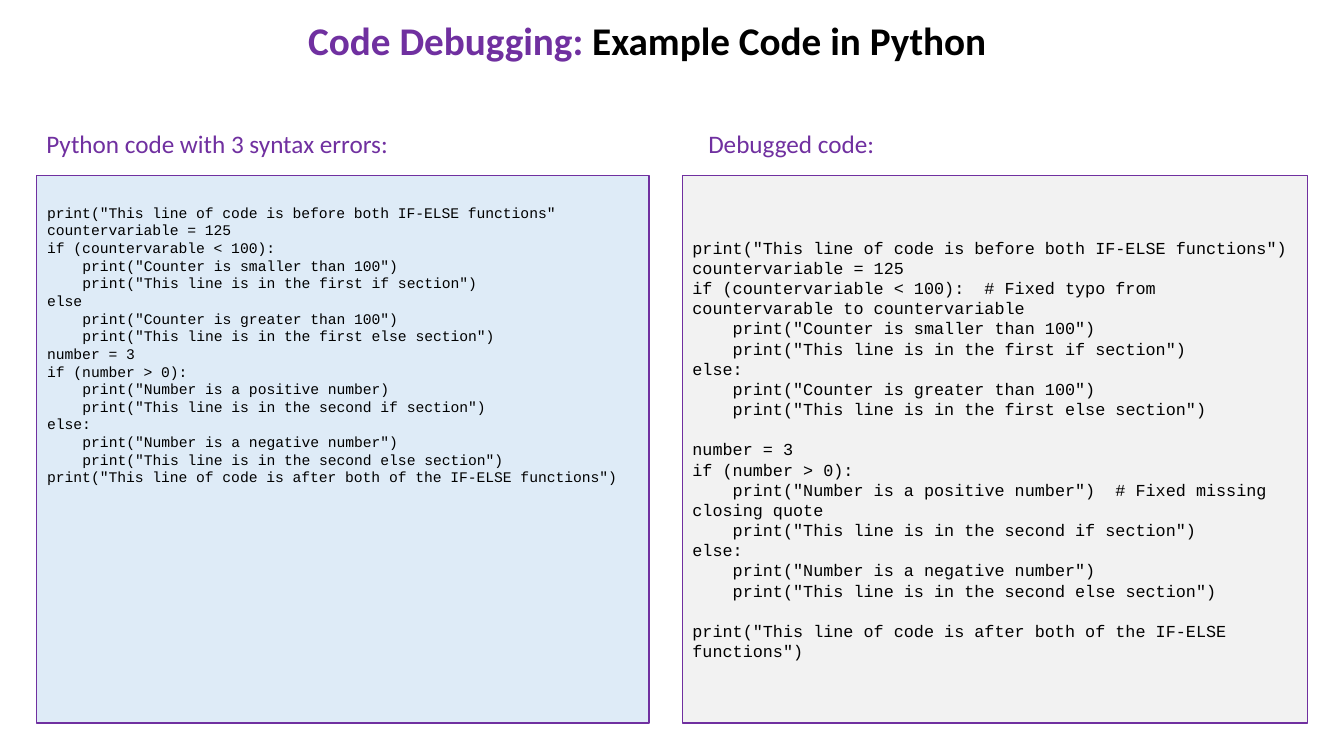
from pptx import Presentation
from pptx.dml.color import RGBColor
from pptx.enum.shapes import MSO_SHAPE
from pptx.enum.text import MSO_ANCHOR, PP_ALIGN
from pptx.util import Cm, Pt

PURPLE, BLACK = "7030A0", "000000"
BODY_FONT, CODE_FONT = "Calibri", "Courier New"
LEFT_X, RIGHT_X = 0.92, 17.2
HEADING_Y, PANEL_Y, PANEL_H = 3.1, 4.42, 13.8

# Each tab marks one level of code indentation
BROKEN_CODE = """\
print("This line of code is before both IF-ELSE functions"
countervariable = 125
if (countervarable < 100):
\tprint("Counter is smaller than 100")
\tprint("This line is in the first if section")
else
\tprint("Counter is greater than 100")
\tprint("This line is in the first else section")
number = 3
if (number > 0):
\tprint("Number is a positive number)
\tprint("This line is in the second if section")
else:
\tprint("Number is a negative number")
\tprint("This line is in the second else section")
print("This line of code is after both of the IF-ELSE functions")"""

# An empty line becomes space before the next paragraph
FIXED_CODE = """\
print("This line of code is before both IF-ELSE functions")
countervariable = 125
if (countervariable < 100):  # Fixed typo from countervarable to countervariable
\tprint("Counter is smaller than 100")
\tprint("This line is in the first if section")
else:
\tprint("Counter is greater than 100")
\tprint("This line is in the first else section")

number = 3
if (number > 0):
\tprint("Number is a positive number")  # Fixed missing closing quote
\tprint("This line is in the second if section")
else:
\tprint("Number is a negative number")
\tprint("This line is in the second else section")

print("This line of code is after both of the IF-ELSE functions")"""


def rgb(color):
    return RGBColor.from_string(color)


def style(font, name, size, color, bold=False):
    font.name, font.size, font.bold = name, Pt(size), bold
    font.color.rgb = rgb(color)


def add_title(s, parts):
    title = s.shapes.title
    title.left, title.top, title.width, title.height = Cm(2.34), Cm(0.28), Cm(27.94), Cm(1.45)
    tf = title.text_frame
    tf.vertical_anchor = MSO_ANCHOR.MIDDLE
    p = tf.paragraphs[0]
    p.alignment = PP_ALIGN.CENTER
    for text, color in parts:
        r = p.add_run()
        r.text = text
        style(r.font, BODY_FONT, 28, color, bold=True)


def add_textbox(s, x, y, w, h):
    tf = s.shapes.add_textbox(Cm(x), Cm(y), Cm(w), Cm(h)).text_frame
    tf.word_wrap = True
    return tf


def add_heading(s, x, w, text):
    p = add_textbox(s, x, HEADING_Y, w, 1.02).paragraphs[0]
    p.text = text
    style(p.font, BODY_FONT, 18, PURPLE)


def add_panel(s, x, w, fill):
    sp = s.shapes.add_shape(MSO_SHAPE.RECTANGLE, Cm(x), Cm(PANEL_Y), Cm(w), Cm(PANEL_H))
    sp.shadow.inherit = False
    sp.fill.solid()
    sp.fill.fore_color.rgb = rgb(fill)
    sp.line.color.rgb = rgb(PURPLE)
    sp.line.width = Pt(1)
    return sp.text_frame


def write_code(tf, code, size):
    line_height = 1.2 * size
    indent = Pt(4 * 0.6 * size)  # four monospaced characters
    for number, block in enumerate(code.split("\n\n")):
        for row, line in enumerate(block.split("\n")):
            first = number == row == 0
            p = tf.paragraphs[0] if first else tf.add_paragraph()
            p.text = line.lstrip("\t")
            p.alignment = PP_ALIGN.LEFT
            p.line_spacing = Pt(line_height)
            style(p.font, CODE_FONT, size, BLACK)
            if line.startswith("\t"):
                # First-line indent only, so wrapped text returns to the margin
                pPr = p._p.get_or_add_pPr()
                pPr.set("marL", "0")
                pPr.set("indent", str(indent))
            if number and row == 0:
                p.space_before = Pt(line_height)


def main():
    prs = Presentation()
    prs.slide_width, prs.slide_height = Cm(33.87), Cm(19.05)
    s = prs.slides.add_slide(prs.slide_layouts[5])

    # Title and column headings
    add_title(s, [("Code Debugging: ", PURPLE), ("Example Code in Python", BLACK)])
    add_heading(s, LEFT_X, 10.64, "Python code with 3 syntax errors:")
    add_heading(s, 17.6, 7.09, "Debugged code:")

    # Code with errors, placed near the top of its panel
    add_panel(s, LEFT_X, 15.44, "DEEBF7")
    write_code(add_textbox(s, 0.94, 5, 15.67, 7.44), BROKEN_CODE, 10.5)

    # Debugged code, centred vertically in its panel
    tf = add_panel(s, RIGHT_X, 15.75, "F2F2F2")
    tf.word_wrap = True
    tf.vertical_anchor = MSO_ANCHOR.MIDDLE
    write_code(tf, FIXED_CODE, 12)

    prs.save("out.pptx")


if __name__ == "__main__":
    main()
